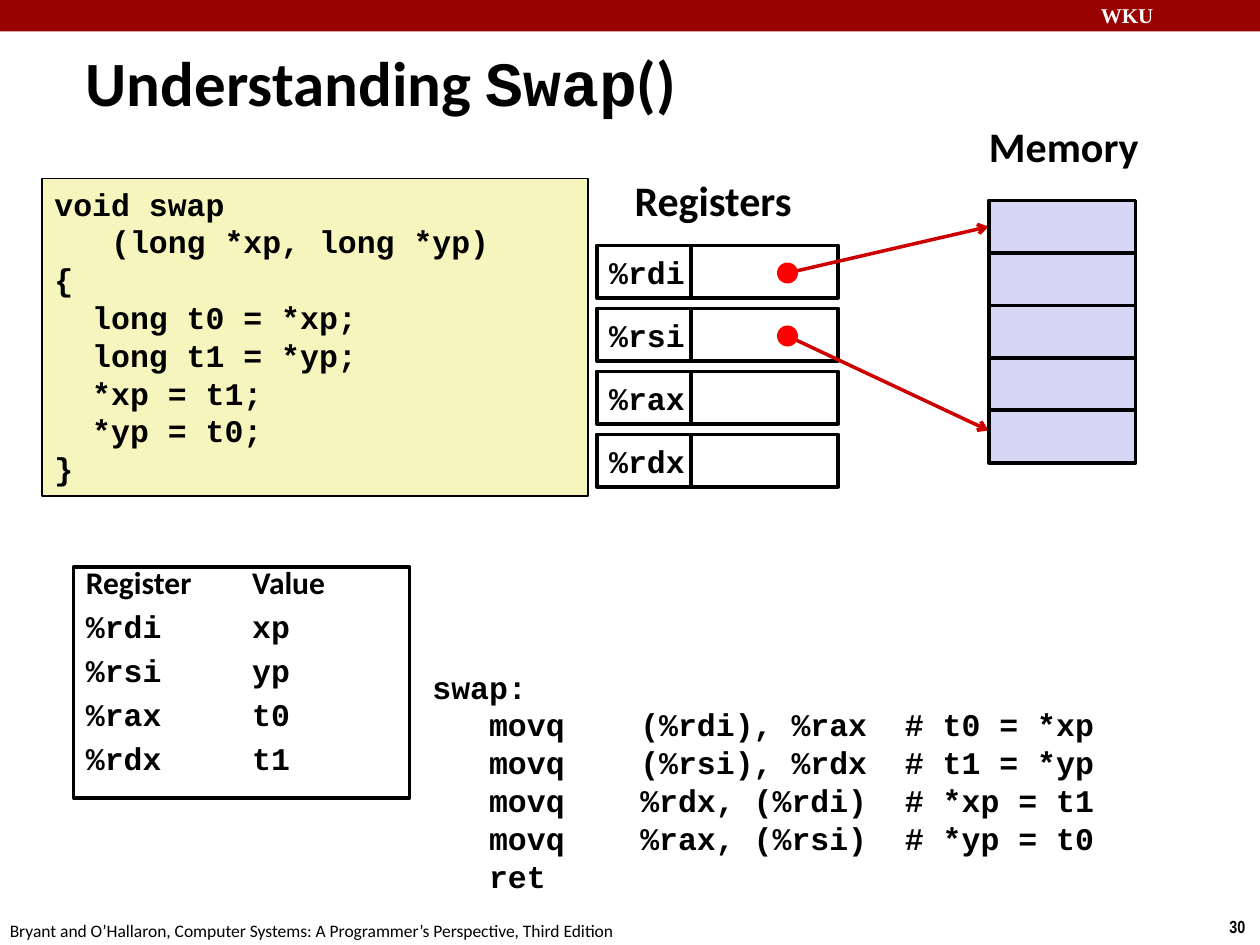
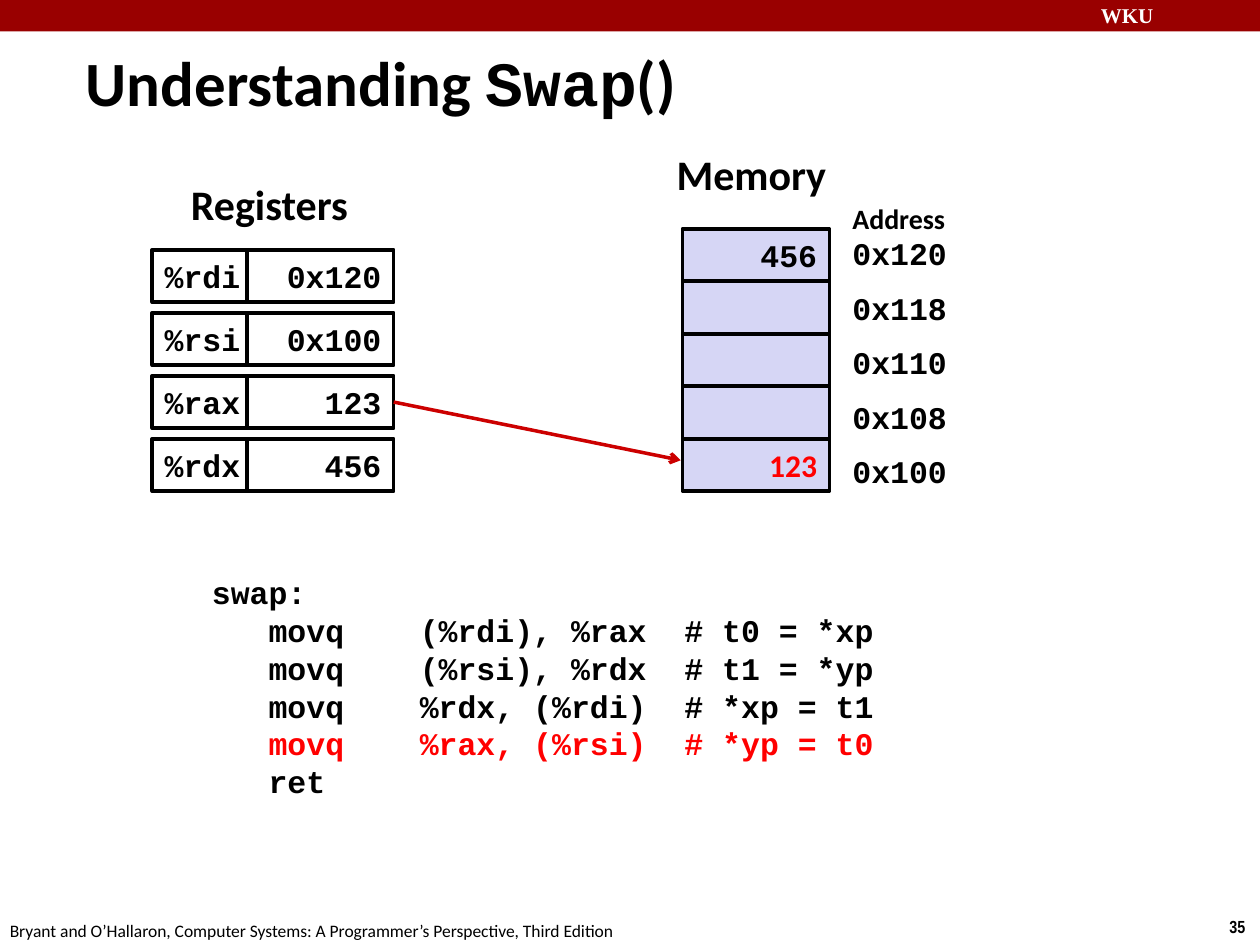
from lxml import etree
from pptx import Presentation
from pptx.dml.color import RGBColor
from pptx.enum.shapes import MSO_CONNECTOR, MSO_SHAPE
from pptx.enum.text import MSO_ANCHOR, PP_ALIGN
from pptx.oxml.ns import qn
from pptx.util import Pt

RECTANGLE, OVAL = MSO_SHAPE.RECTANGLE, MSO_SHAPE.OVAL
STRAIGHT = MSO_CONNECTOR.STRAIGHT
TOP, MIDDLE = MSO_ANCHOR.TOP, MSO_ANCHOR.MIDDLE
LEFT, RIGHT = PP_ALIGN.LEFT, PP_ALIGN.RIGHT

BLACK, WHITE, RED = "000000", "FFFFFF", "FF0000"
BAND_RED, ARROW_RED = "990000", "CC0000"
CODE_YELLOW, MEMORY_LILAC = "F6F5BD", "D6D6F5"
SANS, MONO = "Calibri", "Courier New"

CELL_HEIGHT, NAME_WIDTH, VALUE_WIDTH = 30, 54, 84
REGISTER_PITCH, ADDRESS_PITCH = 36, 31.15
REGISTERS = ["%rdi", "%rsi", "%rax", "%rdx"]
FOOTER = "Bryant and O’Hallaron, Computer Systems: A Programmer’s Perspective, Third Edition"

SWAP_C = """void swap
   (long *xp, long *yp)
{
  long t0 = *xp;
  long t1 = *yp;
  *xp = t1;
  *yp = t0;
}""".split("\n")

SWAP_ASSEMBLY = """swap:
   movq    (%rdi), %rax  # t0 = *xp
   movq    (%rsi), %rdx  # t1 = *yp
   movq    %rdx, (%rdi)  # *xp = t1
   movq    %rax, (%rsi)  # *yp = t0
   ret""".split("\n")


def color(hex_string):
    return RGBColor.from_string(hex_string)


class SlideBuilder:
    """Holds the deck, its style and the page being drawn."""

    def __init__(self):
        self.deck = Presentation()
        self.deck.slide_width, self.deck.slide_height = Pt(720), Pt(540)
        self.page = None

    def start_page(self, number):
        self.page = self.deck.slides.add_slide(self.deck.slide_layouts[6])
        self.shape(0, 0, 720, 18, fill=BAND_RED)
        self.text(622, -2, 103, 22, ["WKU"], font="Times New Roman", size=12, ink=WHITE)
        self.text(695.5, 520, 24.5, 19, [str(number)], font="Arial Narrow", size=10,
                  wrap=False)
        self.text(-1.5, 522, 370, 19, [FOOTER], font=SANS, size=10, bold=False)
        self.text(42, 24, 502, 45, [["Understanding ", ("Swap", MONO), "()"]],
                  font=SANS, size=36, anchor=MIDDLE)

    def shape(self, left, top, width, height, kind=RECTANGLE, fill=None, border=0):
        shape = self.page.shapes.add_shape(kind, Pt(left), Pt(top), Pt(width), Pt(height))
        shape.shadow.inherit = False
        if fill:
            shape.fill.solid()
            shape.fill.fore_color.rgb = color(fill)
        else:
            shape.fill.background()
        if border:
            shape.line.color.rgb = color(BLACK)
            shape.line.width = Pt(border)
        else:
            shape.line.fill.background()
        return shape

    def text(self, left, top, width, height, lines, **style):
        box = self.page.shapes.add_textbox(Pt(left), Pt(top), Pt(width), Pt(height))
        self.set_lines(box, lines, **style)
        return box

    def set_lines(self, box, lines, font=MONO, size=18, ink=BLACK, bold=True, align=LEFT,
                  anchor=TOP, wrap=True, tab=None, spacing=None, gap=0):
        """Fill a box; a line is a string or a list of strings and (string, font) pairs."""
        frame = box.text_frame
        frame.word_wrap = wrap
        frame.vertical_anchor = anchor
        for index, line in enumerate(lines):
            para = frame.add_paragraph() if index else frame.paragraphs[0]
            para.alignment = align
            if spacing:
                para.line_spacing = spacing
            if gap and index:
                para.space_before = Pt(gap)
            if tab:
                stops = etree.SubElement(para._p.get_or_add_pPr(), qn("a:tabLst"))
                etree.SubElement(stops, qn("a:tab"), pos=str(Pt(tab)), algn="l")
            para.font.name, para.font.size, para.font.bold = font, Pt(size), bold
            para.font.color.rgb = color(ink)
            for part in [line] if isinstance(line, str) else line:
                span = para.add_run()
                if isinstance(part, str):
                    span.text = part
                else:
                    span.text, span.font.name = part

    def heading(self, left, top, words):
        self.text(left, top, 110, 36, [words], font=SANS, size=24)

    def cell(self, left, top, width, words="", fill=WHITE, **style):
        cell = self.shape(left, top, width, CELL_HEIGHT, fill=fill, border=2)
        if words:
            self.set_lines(cell, [words], anchor=MIDDLE, **style)

    def registers(self, left, top, values):
        for row, (name, value) in enumerate(zip(REGISTERS, values)):
            y = top + row * REGISTER_PITCH
            self.cell(left, y, NAME_WIDTH, name, wrap=False)
            self.cell(left + NAME_WIDTH, y, VALUE_WIDTH, value, align=RIGHT)

    def memory(self, left, top, values, **last_style):
        """Stack the memory cells; last_style applies to the lowest one."""
        for row, value in enumerate(values):
            style = last_style if row == len(values) - 1 else {}
            self.cell(left, top + row * CELL_HEIGHT, VALUE_WIDTH, value,
                      fill=MEMORY_LILAC, align=RIGHT, **style)

    def assembly(self, left, top, current=None):
        """Show the assembly code, with the current line in red."""
        box = self.text(left, top, 462, 138, SWAP_ASSEMBLY)
        if current is not None:
            box.text_frame.paragraphs[current].font.color.rgb = color(RED)

    def arrow(self, x1, y1, x2, y2):
        arrow = self.page.shapes.add_connector(STRAIGHT, Pt(x1), Pt(y1), Pt(x2), Pt(y2))
        arrow.line.color.rgb = color(ARROW_RED)
        arrow.line.width = Pt(2)
        properties = arrow._element.spPr
        etree.SubElement(properties.find(qn("a:ln")), qn("a:tailEnd"), type="arrow")
        etree.SubElement(properties, qn("a:effectLst"))

    def dot(self, x, y, diameter=12):
        self.shape(x - diameter / 2, y - diameter / 2, diameter, diameter, OVAL, RED)


def draw_setup(builder):
    builder.start_page(30)
    builder.registers(341, 140.25, [""] * 4)
    code = builder.shape(24, 102, 312, 181.5, fill=CODE_YELLOW, border=1)
    builder.set_lines(code, SWAP_C)
    builder.heading(558, 65.5, "Memory")
    builder.heading(355.5, 96, "Registers")
    roles = builder.shape(42, 324, 192, 132, border=2)
    variables = ["xp", "yp", "t0", "t1"]
    rows = [f"{name}\t{variable}" for name, variable in zip(REGISTERS, variables)]
    builder.set_lines(roles, [[("Register\tValue", SANS)]] + rows,
                      tab=95, spacing=0.7, gap=10)
    builder.assembly(240, 378)
    for y, target_y in [(156, 129.5), (192, 246)]:
        builder.arrow(450, y, 565, target_y)
        builder.dot(450, y)
    builder.memory(565, 114.5, [""] * 5)


def draw_last_move(builder):
    builder.start_page(35)
    builder.memory(390, 130.75, ["456", "", "", "", "123"], font=SANS, ink=RED)
    builder.registers(87, 142.75, ["0x120", "0x100", "123", "456"])
    builder.heading(102, 98.5, "Registers")
    builder.heading(379.5, 81.5, "Memory")
    builder.arrow(225, 229.75, 389, 263)
    builder.assembly(114, 324, current=4)
    for row, address in enumerate(["0x120", "0x118", "0x110", "0x108", "0x100"]):
        builder.text(480, 130.25 + row * ADDRESS_PITCH, 96, 29, [address])
    builder.text(480, 111.75, 96, 27, ["Address"], font=SANS, size=16)


def main():
    builder = SlideBuilder()
    draw_setup(builder)
    draw_last_move(builder)
    builder.deck.save("out.pptx")


if __name__ == "__main__":
    main()
